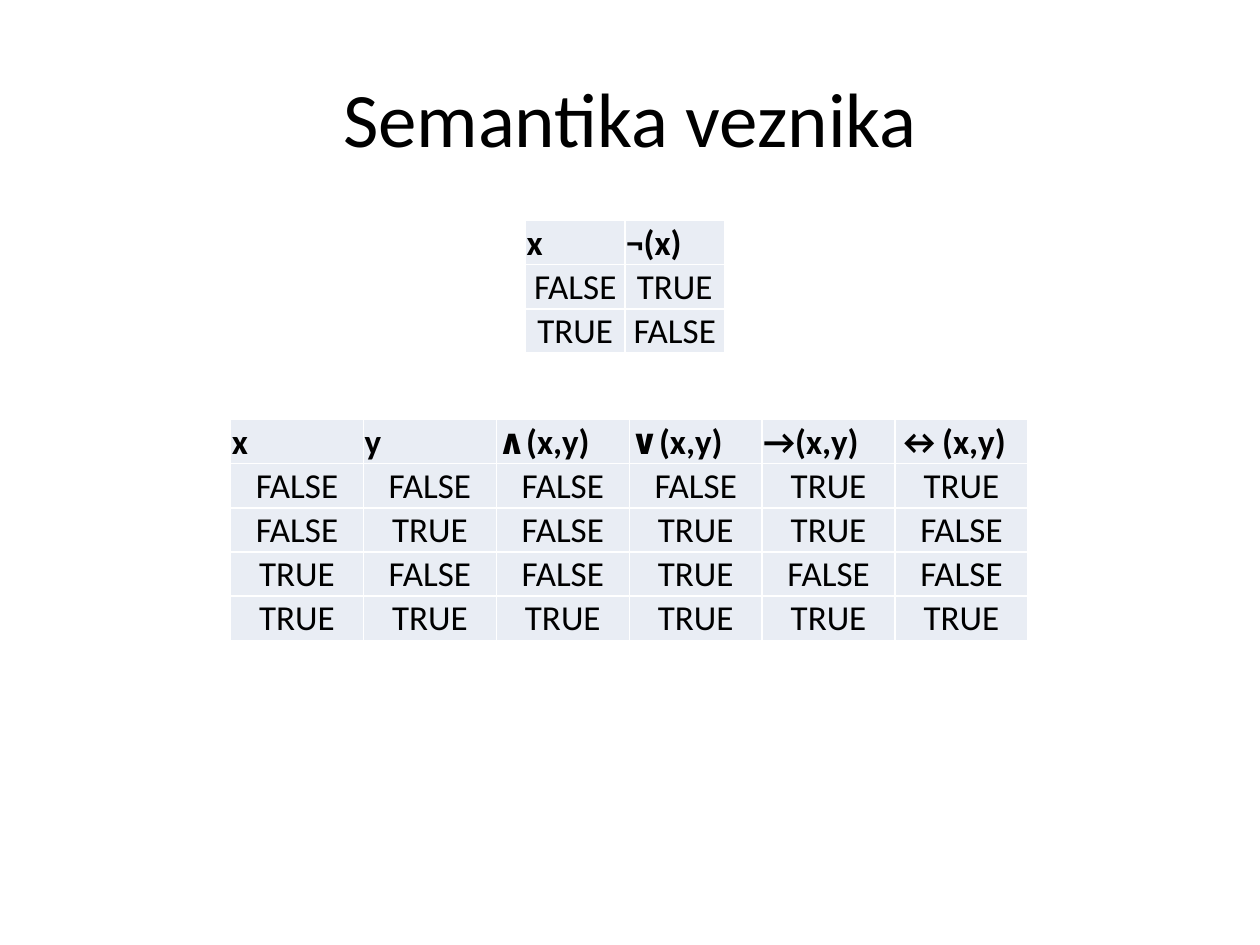
from dataclasses import dataclass
from itertools import product

from lxml import etree
from pptx import Presentation
from pptx.dml.color import RGBColor
from pptx.enum.text import MSO_ANCHOR, PP_ALIGN
from pptx.oxml.ns import qn
from pptx.util import Inches, Pt

LEFT, CENTER = PP_ALIGN.LEFT, PP_ALIGN.CENTER
MIDDLE, BOTTOM = MSO_ANCHOR.MIDDLE, MSO_ANCHOR.BOTTOM
TITLE_ONLY = 5
BORDER_TAGS = ("a:lnL", "a:lnR", "a:lnT", "a:lnB")


@dataclass(frozen=True)
class Theme:
    """Colours, font and type sizes of the deck."""
    font: str = "Calibri"
    ink: str = "000000"
    cell: str = "E9EDF4"
    border: str = "FFFFFF"
    title_size: int = 44
    table_size: int = 20
    border_width: int = 1


THEME = Theme()


def add_span(para, text, size, bold=False):
    """Add one formatted run to a paragraph."""
    span = para.add_run()
    span.text = text
    span.font.name = THEME.font
    span.font.size = Pt(size)
    span.font.bold = bold
    span.font.color.rgb = RGBColor.from_string(THEME.ink)


def set_borders(cell):
    """Draw the theme border on all four sides of a cell."""
    properties = cell._tc.get_or_add_tcPr()
    for index, tag in enumerate(BORDER_TAGS):
        line = etree.Element(qn(tag), w=str(Pt(THEME.border_width)))
        fill = etree.SubElement(line, qn("a:solidFill"))
        etree.SubElement(fill, qn("a:srgbClr"), val=THEME.border)
        properties.insert(index, line)


def fill_cell(cell, text, is_header):
    """Write and format one table cell."""
    cell.margin_left = cell.margin_right = cell.margin_top = Inches(0.01)
    cell.margin_bottom = 0
    cell.vertical_anchor = BOTTOM
    cell.fill.solid()
    cell.fill.fore_color.rgb = RGBColor.from_string(THEME.cell)
    set_borders(cell)
    para = cell.text_frame.paragraphs[0]
    para.alignment = LEFT if is_header else CENTER
    add_span(para, text, THEME.table_size, bold=is_header)


def add_title(page, box, text):
    """Place the slide title in the given box."""
    title = page.shapes.title
    title.left, title.top, title.width, title.height = map(Inches, box)
    frame = title.text_frame
    frame.vertical_anchor = MIDDLE
    para = frame.paragraphs[0]
    para.alignment = CENTER
    add_span(para, text, THEME.title_size)


def add_truth_table(page, box, variables, operators):
    """Tabulate the operators over every assignment of the variables."""
    rows = [[*variables, *operators]]
    for values in product((False, True), repeat=len(variables)):
        results = [operate(*values) for operate in operators.values()]
        rows.append([str(value).upper() for value in (*values, *results)])
    table = page.shapes.add_table(len(rows), len(rows[0]), *map(Inches, box)).table
    table.first_row = table.horz_banding = False
    for row_index, row in enumerate(rows):
        for column_index, text in enumerate(row):
            fill_cell(table.cell(row_index, column_index), text, row_index == 0)


def build_page(deck):
    """Build the slide on the semantics of connectives."""
    page = deck.slides.add_slide(deck.slide_layouts[TITLE_ONLY])
    add_title(page, (0.5, 0.3, 9, 1.25), "Semantika veznika")
    add_truth_table(page, (4.17, 1.75, 1.58, 1.03), ["x"], {"¬(x)": lambda x: not x})
    add_truth_table(page, (1.83, 3.33, 6.33, 1.72), ["x", "y"], {
        "∧(x,y)": lambda x, y: x and y,
        "∨(x,y)": lambda x, y: x or y,
        "→(x,y)": lambda x, y: not x or y,
        "↔(x,y)": lambda x, y: x == y,
    })


def main():
    """Create and save the deck."""
    deck = Presentation()
    deck.slide_width, deck.slide_height = Inches(10), Inches(7.5)
    build_page(deck)
    deck.save("out.pptx")


if __name__ == "__main__":
    main()
